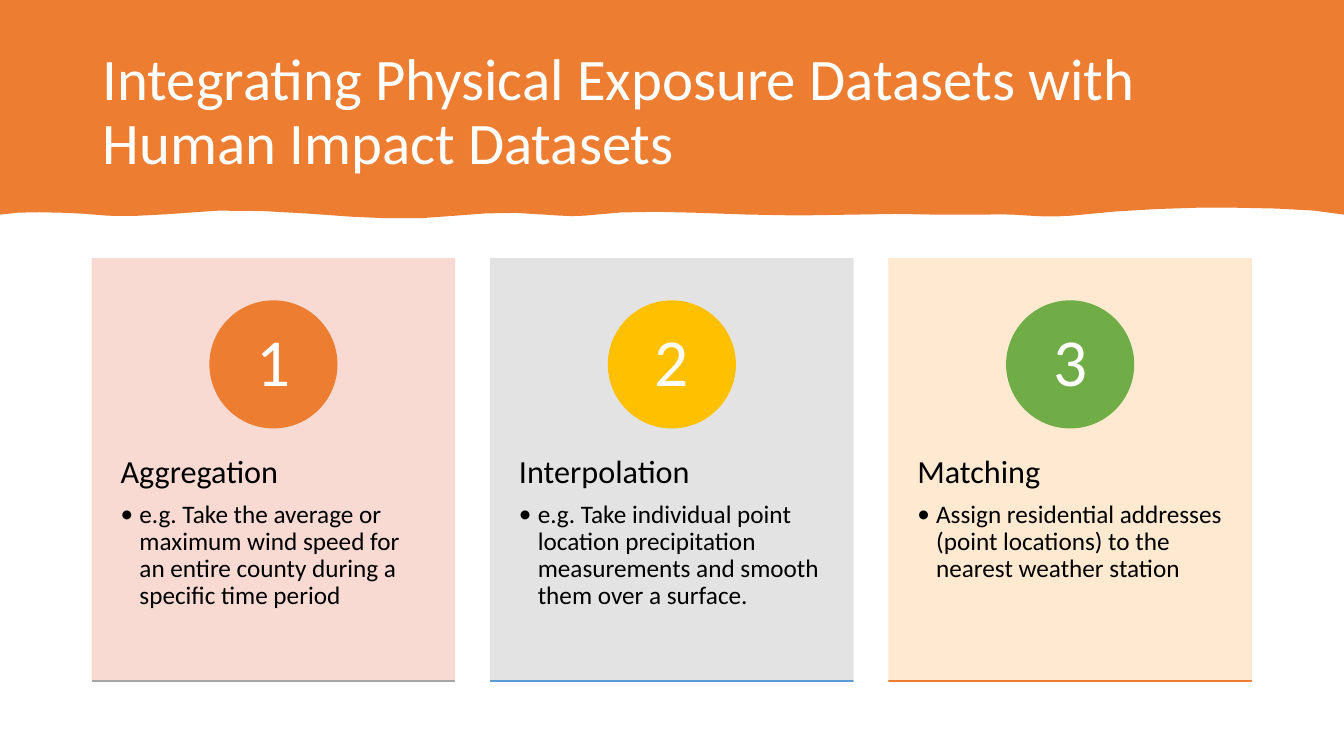
"""Build a slide with a wavy title band above three numbered cards."""
import dataclasses

import lxml.etree
import pptx
import pptx.dml.color
import pptx.enum.shapes
import pptx.enum.text
import pptx.oxml.ns
import pptx.shapes.autoshape
import pptx.shapes.shapetree
import pptx.text.text
import pptx.util

RGB = pptx.dml.color.RGBColor
ALIGN = pptx.enum.text.PP_ALIGN
ANCHOR = pptx.enum.text.MSO_ANCHOR
SHAPE = pptx.enum.shapes.MSO_SHAPE
qn = pptx.oxml.ns.qn

WHITE = RGB(0xFF, 0xFF, 0xFF)
BLACK = RGB(0x00, 0x00, 0x00)
ORANGE = RGB(0xED, 0x7D, 0x31)
GOLD = RGB(0xFF, 0xC0, 0x00)
GREEN = RGB(0x70, 0xAD, 0x47)
GRAY = RGB(0xA5, 0xA5, 0xA5)
BLUE = RGB(0x5B, 0x9B, 0xD5)
PINK = RGB(0xF8, 0xD7, 0xCE)
SILVER = RGB(0xE1, 0xE1, 0xE1)
CREAM = RGB(0xFF, 0xE8, 0xCC)

FONT = "Calibri"
WIDTH = pptx.util.Inches(13.33)
HEIGHT = pptx.util.Inches(7.5)
CARD_LEFT, CARD_TOP, CARD_WIDTH, CARD_HEIGHT = 6.87, 34.23, 26.95, 55.87
CARD_PITCH = 29.64
BADGE_TOP, BADGE_WIDTH, BADGE_HEIGHT = 39.82, 9.43, 16.76
BODY_TOP, BODY_HEIGHT = 55.47, 33.47
RULE_HEIGHT = 0.01
CURVE_STEPS = 3


@dataclasses.dataclass(frozen=True)
class Card:
    heading: str
    body: str
    fill: RGB
    badge: RGB
    rule: RGB


@dataclasses.dataclass(frozen=True)
class Wave:
    x: float
    control1: float
    control2: float
    y: float


CARDS = [
    Card("Aggregation", "e.g. Take the average or maximum wind speed for an entire county "
         "during a specific time period", PINK, ORANGE, GRAY),
    Card("Interpolation", "e.g. Take individual point location precipitation measurements "
         "and smooth them over a surface.", SILVER, GOLD, BLUE),
    Card("Matching", "Assign residential addresses (point locations) to the nearest "
         "weather station", CREAM, GREEN, ORANGE),
]

WAVES = [
    Wave(89.27, 27.47, 27.47, 27.47),
    Wave(79.74, 27.6, 27.87, 28.53),
    Wave(76.59, 28.67, 28.67, 28.53),
    Wave(73.29, 28.4, 28.27, 28.4),
    Wave(63.24, 28.53, 28.13, 28.4),
    Wave(51.54, 28.67, 28.4, 28.13),
    Wave(43.51, 28, 27.87, 28.53),
    Wave(40.59, 28.67, 28.53, 28.4),
    Wave(33.91, 28, 28.13, 28.53),
    Wave(26.18, 29.07, 28.93, 28.67),
    Wave(16.28, 28.27, 27.73, 27.87),
    Wave(11.85, 28, 28.27, 28.4),
    Wave(6.15, 28.67, 28.67, 28.27),
    Wave(1.35, 28.13, 28, 28.13),
]


def col(share: float) -> int:
    return round(WIDTH * share / 100)


def row(share: float) -> int:
    return round(HEIGHT * share / 100)


def box(x: float, y: float, w: float, h: float) -> tuple[int, int, int, int]:
    return col(x), row(y), col(w), row(h)


def paint(sp: pptx.shapes.autoshape.Shape, color: RGB, alpha: int = 100) -> None:
    sp.shadow.inherit = False
    sp.fill.solid()
    sp.fill.fore_color.rgb = color
    sp.line.color.rgb = color
    sp.line.width = pptx.util.Pt(1)
    if alpha < 100:
        for clr in sp.element.spPr.iter(qn("a:srgbClr")):
            lxml.etree.SubElement(clr, qn("a:alpha"), val=str(alpha * 1000))


def setup_frame(tf: pptx.text.text.TextFrame, anchor: ANCHOR, inset_x: float, inset_y: float) -> None:
    tf.word_wrap = True
    tf.vertical_anchor = anchor
    tf.margin_left = tf.margin_right = pptx.util.Inches(inset_x)
    tf.margin_top = tf.margin_bottom = pptx.util.Inches(inset_y)


def write(p: pptx.text.text._Paragraph, text: str, *, size: float, color: RGB = BLACK,
          align: ALIGN = ALIGN.LEFT, after: float = 0, bullet: bool = False) -> None:
    p.alignment = align
    p.line_spacing = 0.9
    p.space_after = pptx.util.Pt(after)
    if bullet:
        p.level = 1
        pPr = p._p.get_or_add_pPr()
        indent = pptx.util.Pt(13.5)
        pPr.set("marL", str(indent))
        pPr.set("indent", str(-indent))
        lxml.etree.SubElement(pPr, qn("a:buFont"), typeface=FONT)
        lxml.etree.SubElement(pPr, qn("a:buChar"), char="•")
    r = p.add_run()
    r.text = text
    r.font.name = FONT
    r.font.size = pptx.util.Pt(size)
    r.font.color.rgb = color


def draw_band(shapes: pptx.shapes.shapetree.SlideShapes) -> None:
    edge = [(100, 0), (100, 28.4), (97.82, 27.87)]
    for wave in WAVES:
        x0, y0 = edge[-1]
        for step in range(1, CURVE_STEPS + 1):
            t = step / CURVE_STEPS
            u = 1 - t
            y = (u**3 * y0 + 3 * u * u * t * wave.control1
                 + 3 * u * t * t * wave.control2 + t**3 * wave.y)
            edge.append((x0 + (wave.x - x0) * t, y))
    edge.append((0, 28.4))
    builder = shapes.build_freeform(0, 0)
    builder.add_line_segments([(col(x), row(y)) for x, y in edge], close=True)
    sp = builder.convert_to_shape()
    paint(sp, ORANGE)
    sp.line.fill.background()


def draw_card(shapes: pptx.shapes.shapetree.SlideShapes, index: int, card: Card) -> None:
    left = CARD_LEFT + index * CARD_PITCH
    sp = shapes.add_shape(SHAPE.RECTANGLE, *box(left, CARD_TOP, CARD_WIDTH, CARD_HEIGHT))
    paint(sp, card.fill, alpha=90)

    tf = shapes.add_textbox(*box(left, BODY_TOP, CARD_WIDTH, BODY_HEIGHT)).text_frame
    setup_frame(tf, ANCHOR.TOP, 0.28, 0.36)
    write(tf.paragraphs[0], card.heading, size=23, after=8)
    write(tf.add_paragraph(), card.body, size=18, after=2.7, bullet=True)

    badge_left = left + (CARD_WIDTH - BADGE_WIDTH) / 2
    sp = shapes.add_shape(SHAPE.OVAL, *box(badge_left, BADGE_TOP, BADGE_WIDTH, BADGE_HEIGHT))
    paint(sp, card.badge)
    setup_frame(sp.text_frame, ANCHOR.MIDDLE, 0.1, 0.01)
    write(sp.text_frame.paragraphs[0], str(index + 1), size=48, color=WHITE, align=ALIGN.CENTER)

    sp = shapes.add_shape(SHAPE.RECTANGLE,
                          *box(left, CARD_TOP + CARD_HEIGHT, CARD_WIDTH, RULE_HEIGHT))
    paint(sp, card.rule)


def main() -> None:
    prs = pptx.Presentation()
    prs.slide_width, prs.slide_height = WIDTH, HEIGHT
    shapes = prs.slides.add_slide(prs.slide_layouts[6]).shapes
    draw_band(shapes)
    tf = shapes.add_textbox(*box(6.9, 5.33, 86.27, 19.33)).text_frame
    setup_frame(tf, ANCHOR.MIDDLE, 0.1, 0.05)
    write(tf.paragraphs[0], "Integrating Physical Exposure Datasets with Human Impact Datasets",
          size=42, color=WHITE)
    for index, card in enumerate(CARDS):
        draw_card(shapes, index, card)
    prs.save("out.pptx")


if __name__ == "__main__":
    main()
